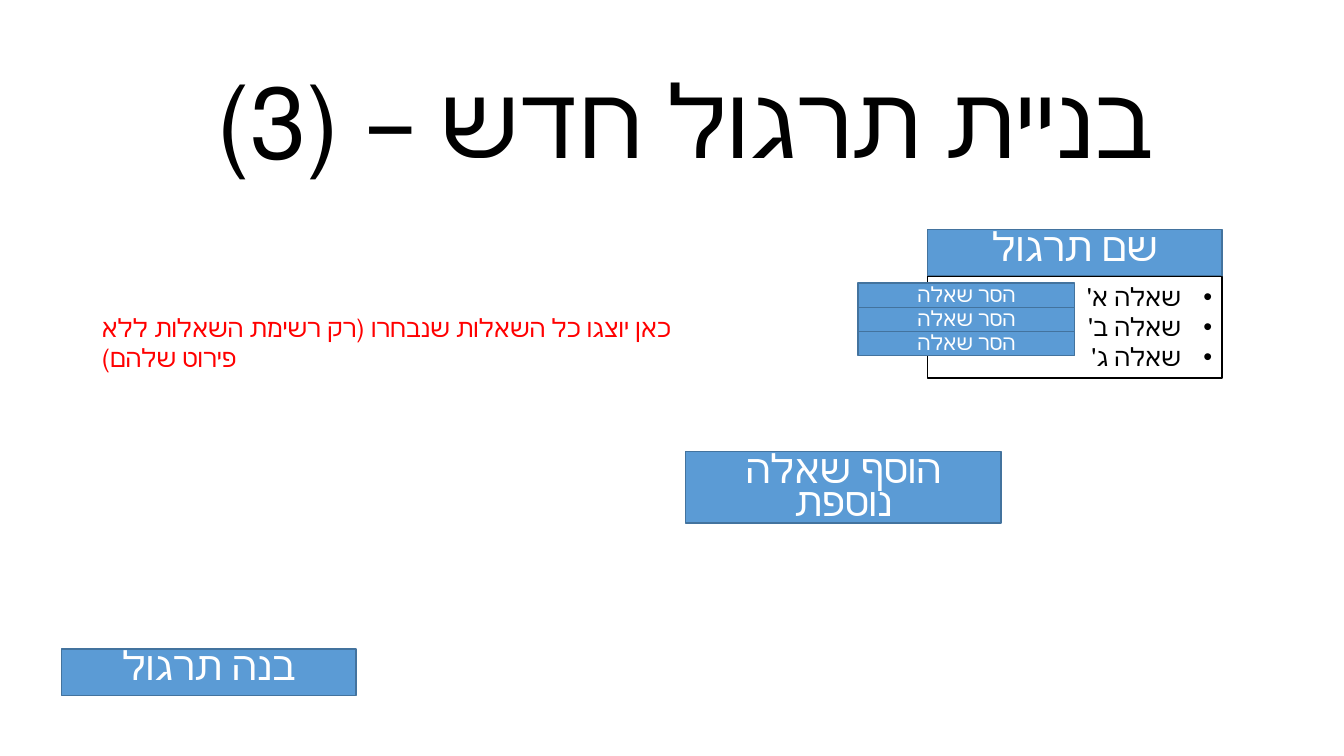
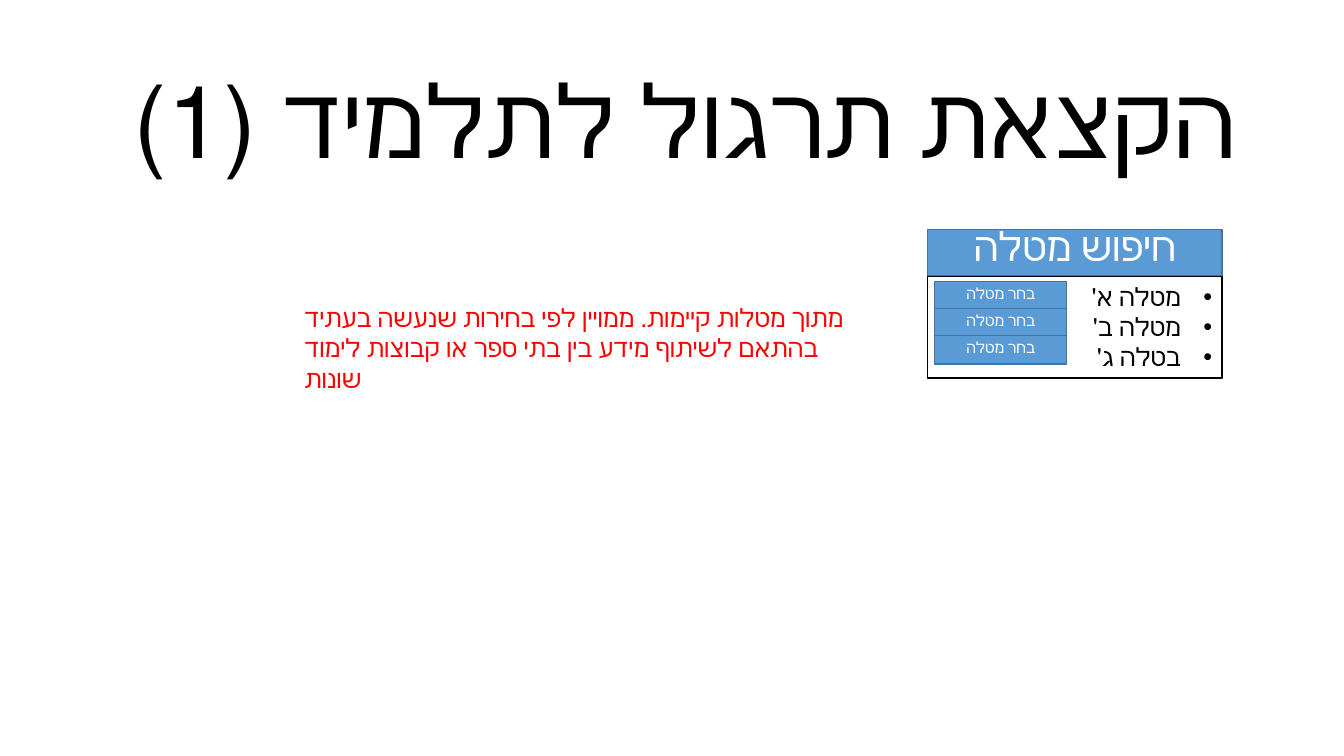
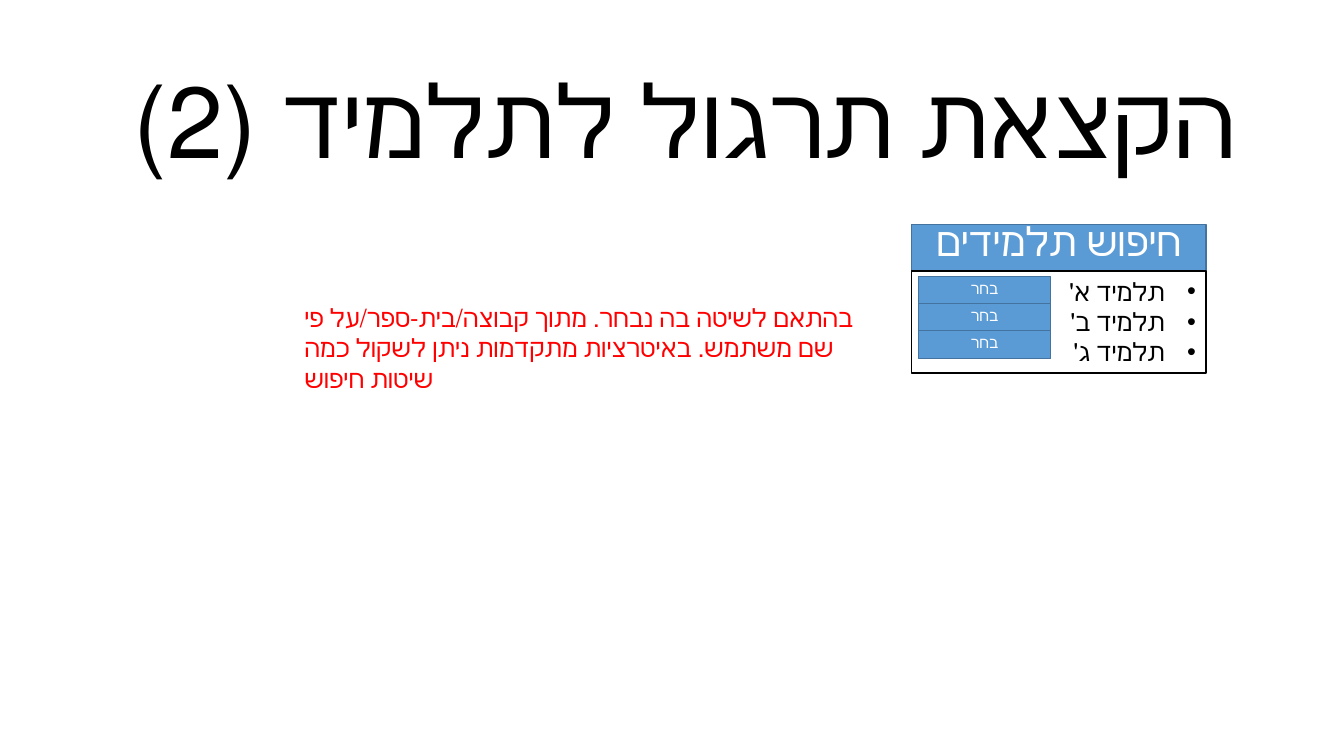
from pptx import Presentation
from pptx.dml.color import RGBColor
from pptx.enum.shapes import MSO_SHAPE
from pptx.enum.text import MSO_ANCHOR, MSO_AUTO_SIZE, PP_ALIGN
from pptx.util import Inches, Pt
from lxml.etree import SubElement

WIDE, HIGH = 13.33, 7.5
FONT = "Calibri"
BLUE, EDGE, WHITE, BLACK, RED = "5B9BD5", "43739E", "FFFFFF", "000000", "FF0000"
COL, ROW, LIST = 2.92, 0.46, 1.01

HEAD = dict(size=28.5, color=WHITE, para=dict(alignment=PP_ALIGN.CENTER, line_spacing=0.7, space_before=Pt(10)))
SMALL = HEAD | dict(size=15)
TINY = dict(size=11, color=WHITE, para=HEAD["para"] | dict(line_spacing=0.9))
TITLE = dict(size=72, color=BLACK, para=dict(alignment=PP_ALIGN.CENTER, line_spacing=0.9, space_before=Pt(0)))
ITEM = dict(size=18, color=BLACK, para=dict(alignment=PP_ALIGN.RIGHT))
NOTE = dict(size=18, color=RED, para=dict(alignment=PP_ALIGN.LEFT))

DROP = dict(left=-0.69, top=0.53, wide=2.15, high=0.24, step=0.24, style=SMALL)
PICK = dict(left=0.07, top=0.51, wide=1.31, high=0.28, step=0.27, style=TINY)

SLIDES = [
    dict(title="בניית תרגול חדש – (3)", at=(9.2, 2.28), head="שם תרגול",
         items=["שאלה א'", "שאלה ב'", "שאלה ג'"], label="הסר שאלה", grid=DROP,
         note="כאן יוצגו כל השאלות שנבחרו (רק רשימת השאלות ללא פירוט שלהם)",
         place=(0.91, 3.05, 5.9, 0.71),
         extra=[("בנה תרגול", (0.61, 6.44, COL, ROW)),
                ("הוסף שאלה נוספת", (6.8, 4.48, 3.13, 0.71))]),
    dict(title="הקצאת תרגול לתלמיד (1)", at=(9.2, 2.28), head="חיפוש מטלה",
         items=["מטלה א'", "מטלה ב'", "בטלה ג'"], label="בחר מטלה", grid=PICK,
         note="מתוך מטלות קיימות. ממויין לפי בחירות שנעשה בעתיד בהתאם לשיתוף מידע בין בתי ספר או קבוצות לימוד שונות",
         place=(2.92, 2.95, 5.9, 0.71), extra=[]),
    dict(title="הקצאת תרגול לתלמיד (2)", at=(9.04, 2.23), head="חיפוש תלמידים",
         items=["תלמיד א'", "תלמיד ב'", "תלמיד ג'"], label="בחר", grid=PICK,
         note="בהתאם לשיטה בה נבחר. מתוך קבוצה/בית-ספר/על פי שם משתמש. באיטרציות מתקדמות ניתן לשקול כמה שיטות חיפוש",
         place=(2.92, 2.95, 5.9, 1.01), extra=[]),
]


def paint(code):
    return RGBColor.from_string(code)


def apply(thing, form):
    for name, value in form.items():
        setattr(thing, name, value)


def write(shape, lines, style, bullet=False, **form):
    frame = shape.text_frame
    frame.text = "\n".join(lines)
    apply(frame, dict(word_wrap=True, auto_size=MSO_AUTO_SIZE.NONE,
                      vertical_anchor=MSO_ANCHOR.TOP) | form)
    for para in frame.paragraphs:
        apply(para, style["para"])
        props = para._p.get_or_add_pPr()
        props.set("rtl", "1")
        if bullet:
            props.set("marL", str(Inches(0.31)))
            props.set("indent", str(-Inches(0.31)))
            space = props.nsmap["a"]
            SubElement(props, f"{{{space}}}buFont").set("typeface", "Arial")
            SubElement(props, f"{{{space}}}buChar").set("char", "•")
        for run in para.runs:
            apply(run.font, dict(name=FONT, size=Pt(style["size"])))
            run.font.color.rgb = paint(style["color"])


def box(slide, spot, lines, style, fill=BLUE, edge=EDGE, **form):
    shape = slide.shapes.add_shape(MSO_SHAPE.RECTANGLE, *map(Inches, spot))
    shape.shadow.inherit = False
    shape.fill.solid()
    shape.fill.fore_color.rgb = paint(fill)
    shape.line.color.rgb = paint(edge)
    shape.line.width = Pt(1)
    write(shape, lines, style, **form)


def panel(slide, data):
    x, y = data["at"]
    grid = data["grid"]
    box(slide, (x, y, COL, ROW), [data["head"]], HEAD)
    box(slide, (x, y + ROW, COL, LIST), data["items"], ITEM, WHITE, BLACK,
        bullet=True, auto_size=MSO_AUTO_SIZE.SHAPE_TO_FIT_TEXT)
    for i in range(len(data["items"])):
        top = y + grid["top"] + i * grid["step"]
        box(slide, (x + grid["left"], top, grid["wide"], grid["high"]),
            [data["label"]], grid["style"])


def build(deck, data):
    slide = deck.slides.add_slide(deck.slide_layouts[5])
    title = slide.shapes.title
    spot = map(Inches, (-0.18, 0.43, 13.95, 1.41))
    apply(title, dict(zip(("left", "top", "width", "height"), spot)))
    write(title, [data["title"]], TITLE, vertical_anchor=MSO_ANCHOR.BOTTOM)
    panel(slide, data)
    note = slide.shapes.add_textbox(*map(Inches, data["place"]))
    write(note, [data["note"]], NOTE, auto_size=MSO_AUTO_SIZE.SHAPE_TO_FIT_TEXT)
    for text, spot in data["extra"]:
        box(slide, spot, [text], HEAD)


def main():
    deck = Presentation()
    apply(deck, dict(slide_width=Inches(WIDE), slide_height=Inches(HIGH)))
    for data in SLIDES:
        build(deck, data)
    deck.save("out.pptx")


if __name__ == "__main__":
    main()
